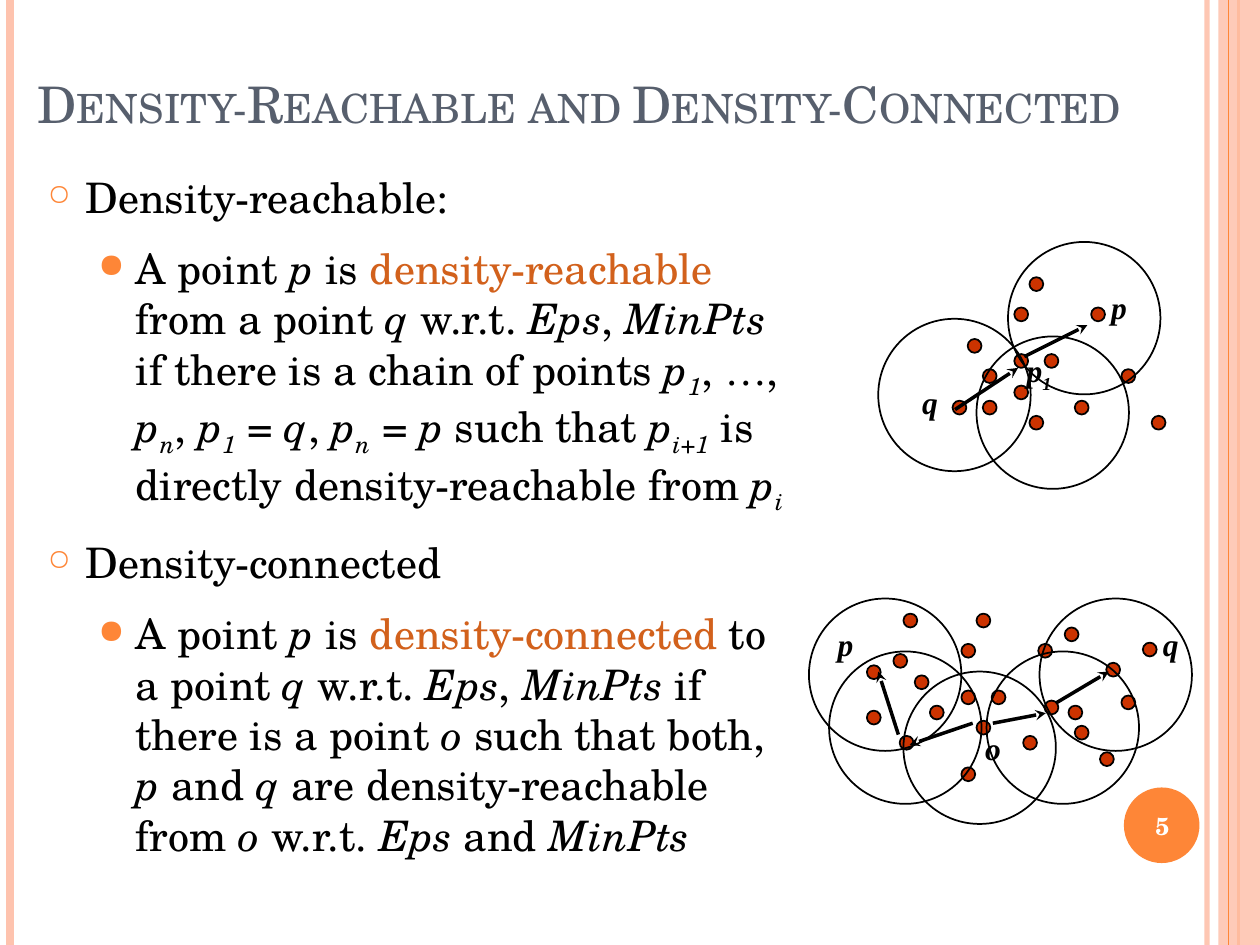
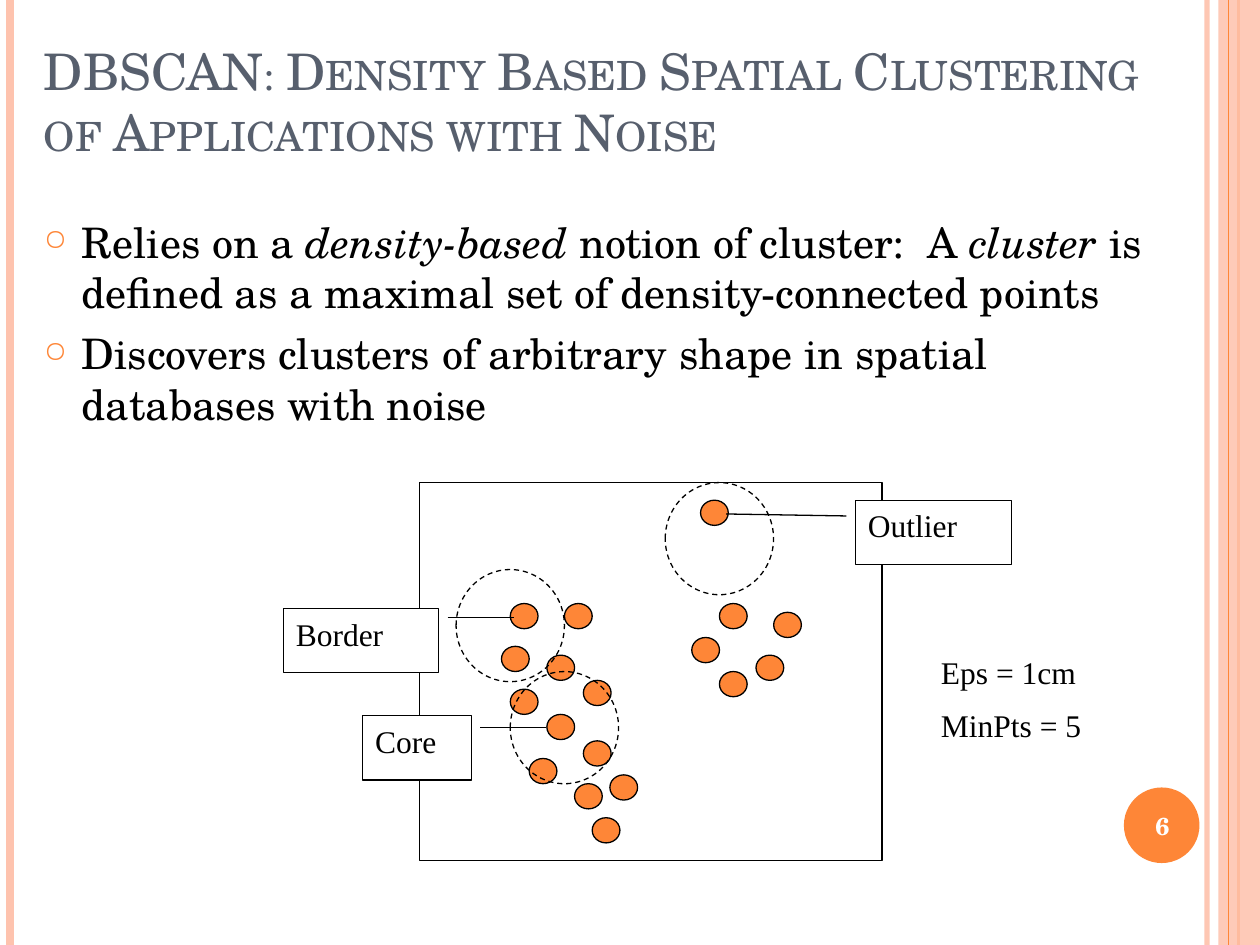
from lxml import etree
from pptx import Presentation
from pptx import util as u
from pptx.dml import color as dml
from pptx.enum import dml as lines, shapes, text
from pptx.oxml import ns

SERIF, LABEL_FONT = "TeX Gyre Schola", "Times New Roman"
BLACK, WHITE = "000000", "FFFFFF"
ORANGE, PEACH, SLATE = "FE8637", "FEC3AE", "575F6D"
RUST, RED = "D2611C", "CC3300"
DOT_SIZE, NEIGHBOURHOOD = (0.11, 0.11), (1.21, 1.21)
POINT_SIZE, EPS_SIZE = (0.22, 0.2), (0.86, 0.89)
SHAPE = shapes.MSO_SHAPE
BULLETS = {0: ("○", 70, 0.3), 1: ("●", 80, 0.7)}
MARKS = {"*": "italic", "_": "subscript", "^": "highlight", "~": "label_font"}

REACHABLE_DOTS = [
    (7.68, 2.69), (8.05, 2.81), (8.05, 2.44), (7.56, 3.18), (7.8, 2.93),
    (7.8, 3.18), (8.17, 3.3), (8.17, 2.2), (8.9, 2.93), (8.66, 2.44),
    (8.05, 3.06), (8.29, 2.81), (8.53, 3.18), (9.14, 3.3)]
CONNECTED_DOTS = [
    (7.26, 5.36), (7.63, 5.48), (7.63, 5.11), (7.14, 5.84), (7.38, 5.6),
    (7.63, 6.09), (7.75, 5.72), (7.75, 4.87), (8.48, 5.6), (8.24, 5.11),
    (6.88, 5.64), (7.87, 5.48), (8.12, 5.84), (8.73, 5.97), (8.9, 5.52),
    (8.29, 5.56), (8.53, 5.76), (9.07, 5.1), (8.45, 4.98), (8.78, 5.26),
    (7.09, 5.19), (6.88, 5.28), (7.17, 4.87)]
REACHABLE_CIRCLES = [(7.75, 2.67), (6.97, 2.53), (8, 1.92)]
CONNECTED_CIRCLES = [(6.58, 5.17), (7.17, 5.33), (7.83, 5.17), (8.25, 4.75), (6.42, 4.75)]
POINT_LABELS = [
    ("p", 8.72, 2.24, 0.42), ("q", 7.22, 2.99, 0.42), ("p_1_", 8.05, 2.74, 0.67),
    ("p", 6.55, 4.91, 0.42), ("q", 9.13, 4.91, 0.42), ("o", 7.72, 5.74, 0.42)]
CHAIN_ARROWS = [
    ((8.13, 2.83), (8.63, 2.58)), ((7.58, 3.25), (8.08, 2.92)),
    ((7.72, 5.74), (7.22, 5.91)), ((7.88, 5.74), (8.3, 5.66)),
    ((7.13, 5.83), (6.97, 5.33)), ((8.38, 5.58), (8.8, 5.33))]
CLUSTER_POINTS = [
    (4.05, 4.79), (3.98, 5.13), (4.34, 5.2), (4.48, 4.79), (4.63, 5.4), (4.05, 5.47),
    (4.34, 5.67), (4.2, 6.02), (4.56, 6.22), (4.7, 6.49), (4.63, 5.88), (4.84, 6.15),
    (5.56, 3.97), (5.71, 4.79), (5.49, 5.06), (6, 5.2), (6.14, 4.86), (5.71, 5.33)]
EPS_CIRCLES = [(3.62, 4.52), (4.05, 5.33), (5.28, 3.83)]
CALLOUTS = [
    ("Core", (2.88, 5.68, 0.86, 0.51), (0.188, 1.083, 0.188, 1.688)),
    ("Border", (2.25, 4.83, 1.23, 0.51), (0.145, 1.059, 0.145, 1.485)),
    ("Outlier", (6.79, 3.97, 1.24, 0.51), (0.245, -0.058, 0.214, -0.828))]

REACHABLE_TEXT = [
    ("Density-reachable:", 0),
    ("A point *p* is ^density-reachable^ from a point *q *w.r.t. *Eps*, *MinPts* if there is "
     "a chain of points *p_1_*, ~…~, *p_n_*, *p_1_* = *q*, *p_n_* = *p* such that *p_i+1_* is "
     "directly density-reachable from *p_i_*", 1),
    ("Density-connected", 0),
    ("A point *p* is ^density-connected^ to a point *q *w.r.t. *Eps*, *MinPts* if there is "
     "a point *o *such that both, *p* and *q* are density-reachable from *o *w.r.t. *Eps* "
     "and *MinPts*", 1)]
DBSCAN_TEXT = [
    ("Relies on a *density-based* notion of cluster:  A *cluster* is defined as a maximal "
     "set of density-connected points", 0),
    ("Discovers clusters of arbitrary shape in spatial databases with noise", 0)]


def rgb(value):
    """Turn a hex string into a colour."""
    return dml.RGBColor.from_string(value)


def add_xml(parent, tag, **attributes):
    """Append a DrawingML element and return it."""
    element = etree.SubElement(parent, ns.qn(f"a:{tag}"))
    for name, value in attributes.items():
        element.set(name, str(value))
    return element


def set_alpha(element, percent):
    """Make the solid colour inside an element partly transparent."""
    add_xml(next(element.iter(ns.qn("a:srgbClr"))), "alpha", val=percent * 1000)


def split_marks(marked):
    """Split marked text into pairs of a text and its set of active marks."""
    pieces, active = [("", frozenset())], frozenset()
    for letter in marked:
        if letter in MARKS:
            active = active ^ {MARKS[letter]}
            pieces.append(("", active))
        else:
            pieces[-1] = (pieces[-1][0] + letter, active)
    return [piece for piece in pieces if piece[0]]


def write_runs(paragraph, marked, size=18, font=LABEL_FONT, color=BLACK, bold=False,
               italic=False, small_caps=False):
    """Write marked text into a paragraph as formatted runs."""
    for words, active in split_marks(marked):
        run = paragraph.add_run()
        run.text = words
        run.font.size = u.Pt(size)
        run.font.name = LABEL_FONT if "label_font" in active else font
        run.font.color.rgb = rgb(RUST if "highlight" in active else color)
        run.font.bold = bold
        run.font.italic = italic or "italic" in active
        properties = run.font._element
        if "subscript" in active:
            properties.set("baseline", "-25000")
        if small_caps:
            properties.set("cap", "small")


def set_space_before(paragraph, percent=None, points=None):
    """Set the space before a paragraph, as a share of the line or in points."""
    if points is not None:
        paragraph.space_before = u.Pt(points)
    elif percent is not None:
        spacing = add_xml(paragraph._p.get_or_add_pPr(), "spcBef")
        add_xml(spacing, "spcPct", val=percent * 1000)


def set_bullet(paragraph, level):
    """Give a paragraph the bullet and hanging indent of its level."""
    character, size, indent = BULLETS[level]
    properties = paragraph._p.get_or_add_pPr()
    properties.set("marL", str(u.Inches(indent)))
    properties.set("indent", str(u.Inches(-0.3)))
    add_xml(add_xml(properties, "buClr"), "srgbClr", val=ORANGE)
    add_xml(properties, "buSzPct", val=size * 1000)
    add_xml(properties, "buChar", char=character)


def add_text(slide, box, paragraphs, anchor=text.MSO_ANCHOR.TOP, align=None,
             percent=None, points=None, **style):
    """Add a text box; a paragraph is text, or a pair of text and bullet level."""
    frame = slide.shapes.add_textbox(*map(u.Inches, box)).text_frame
    frame.word_wrap = True
    frame.vertical_anchor = anchor
    for index, item in enumerate(paragraphs):
        paragraph = frame.add_paragraph() if index else frame.paragraphs[0]
        marked, level = (item, None) if isinstance(item, str) else item
        if align is not None:
            paragraph.alignment = align
        set_space_before(paragraph, percent, points)
        if level is not None:
            set_bullet(paragraph, level)
        write_runs(paragraph, marked, **style)


def add_shape(slide, kind, box, fill=None, line=None, width=0.75, dashed=False):
    """Add a preset shape without a shadow."""
    shape = slide.shapes.add_shape(kind, *map(u.Inches, box))
    shape.shadow.inherit = False
    if fill:
        shape.fill.solid()
        shape.fill.fore_color.rgb = rgb(fill)
    else:
        shape.fill.background()
    if line:
        shape.line.color.rgb = rgb(line)
        shape.line.width = u.Pt(width)
        if dashed:
            shape.line.dash_style = lines.MSO_LINE.DASH
    else:
        shape.line.fill.background()
    return shape


def add_ellipses(slide, corners, size, **style):
    """Add equal ellipses at the given top left corners."""
    for corner in corners:
        add_shape(slide, SHAPE.OVAL, (*corner, *size), **style)


def add_line(slide, start, end, color=BLACK, width=2, arrow=False):
    """Add a straight line, with an arrowhead at its end if asked."""
    connector = slide.shapes.add_connector(
        shapes.MSO_CONNECTOR.STRAIGHT, *map(u.Inches, (*start, *end)))
    connector.line.color.rgb = rgb(color)
    connector.line.width = u.Pt(width)
    if arrow:
        add_xml(connector.line._get_or_add_ln(), "tailEnd", type="stealth")
    add_xml(connector._element.spPr, "effectLst")
    return connector


def add_callout(slide, label, box, pointer):
    """Add a bordered callout whose line points at a cluster point."""
    shape = add_shape(slide, SHAPE.LINE_CALLOUT_1, box, fill=WHITE, line=BLACK)
    for index, value in enumerate(pointer):
        shape.adjustments[index] = value
    frame = shape.text_frame
    frame.word_wrap = True
    frame.vertical_anchor = text.MSO_ANCHOR.TOP
    frame.paragraphs[0].alignment = text.PP_ALIGN.LEFT
    write_runs(frame.paragraphs[0], label)


def add_stripe(slide, x, color, width):
    """Add a vertical line over the full height of the slide."""
    return add_line(slide, (x, 0), (x, 7.5), color=color, width=width)


def start_slide(presentation, number, title, title_box, anchor):
    """Add a slide with its side stripes, number badge and title."""
    slide = presentation.slides.add_slide(presentation.slide_layouts[6])
    set_alpha(add_stripe(slide, 9.58, PEACH, 3)._element, 93)
    add_stripe(slide, 0.08, PEACH, 4.5)
    add_stripe(slide, 9.83, ORANGE, 1.5)
    band = add_shape(slide, SHAPE.RECTANGLE, (9.67, 0, 0.33, 7.5), fill=PEACH)
    set_alpha(band._element, 87)
    add_stripe(slide, 9.75, ORANGE, 0.75)
    add_shape(slide, SHAPE.OVAL, (8.92, 6.25, 0.6, 0.6), fill=ORANGE)
    add_text(slide, (8.89, 6.27, 0.67, 0.57), [str(number)], anchor=text.MSO_ANCHOR.MIDDLE,
             align=text.PP_ALIGN.CENTER, size=14, font=SERIF, color=WHITE, bold=True)
    add_text(slide, title_box, [title], anchor=anchor, size=28.8, font=SERIF,
             color=SLATE, small_caps=True)
    return slide


def build_reachability(presentation):
    """Build the slide on density-reachable and density-connected points."""
    slide = start_slide(presentation, 5, "Density-Reachable and Density-Connected",
                        (0.2, 0.36, 9.49, 0.92), text.MSO_ANCHOR.MIDDLE)
    add_text(slide, (0.28, 1.31, 6.17, 5.5), REACHABLE_TEXT, percent=50, size=24, font=SERIF)
    add_ellipses(slide, REACHABLE_DOTS + CONNECTED_DOTS, DOT_SIZE,
                 fill=RED, line=BLACK, width=1)
    add_ellipses(slide, REACHABLE_CIRCLES + CONNECTED_CIRCLES, NEIGHBOURHOOD,
                 line=BLACK, width=1)
    for label, left, top, width in POINT_LABELS:
        add_text(slide, (left, top, width, 0.5), [label], percent=50, bold=True, italic=True)
    for start, end in CHAIN_ARROWS:
        add_line(slide, start, end, arrow=True)


def build_dbscan(presentation):
    """Build the slide on DBSCAN with its core, border and outlier points."""
    slide = start_slide(presentation, 6,
                        "DBSCAN: Density Based Spatial Clustering of Applications with Noise",
                        (0.25, 0.25, 9.33, 1.08), text.MSO_ANCHOR.BOTTOM)
    add_text(slide, (0.25, 1.67, 9.08, 5.5), DBSCAN_TEXT, points=6, size=24, font=SERIF)
    add_ellipses(slide, CLUSTER_POINTS, POINT_SIZE, fill=ORANGE, line=BLACK)
    add_shape(slide, SHAPE.RECTANGLE, (3.33, 3.83, 3.67, 3), line=BLACK)
    add_ellipses(slide, EPS_CIRCLES, EPS_SIZE, line=BLACK, dashed=True)
    for label, box, pointer in CALLOUTS:
        add_callout(slide, label, box, pointer)
    add_text(slide, (7.37, 5.13, 1.8, 1.1), ["Eps = 1cm", "MinPts = 5"], percent=50)


def main():
    """Build both slides and save the presentation."""
    presentation = Presentation()
    presentation.slide_width, presentation.slide_height = u.Inches(10), u.Inches(7.5)
    build_reachability(presentation)
    build_dbscan(presentation)
    presentation.save("out.pptx")


if __name__ == "__main__":
    main()
